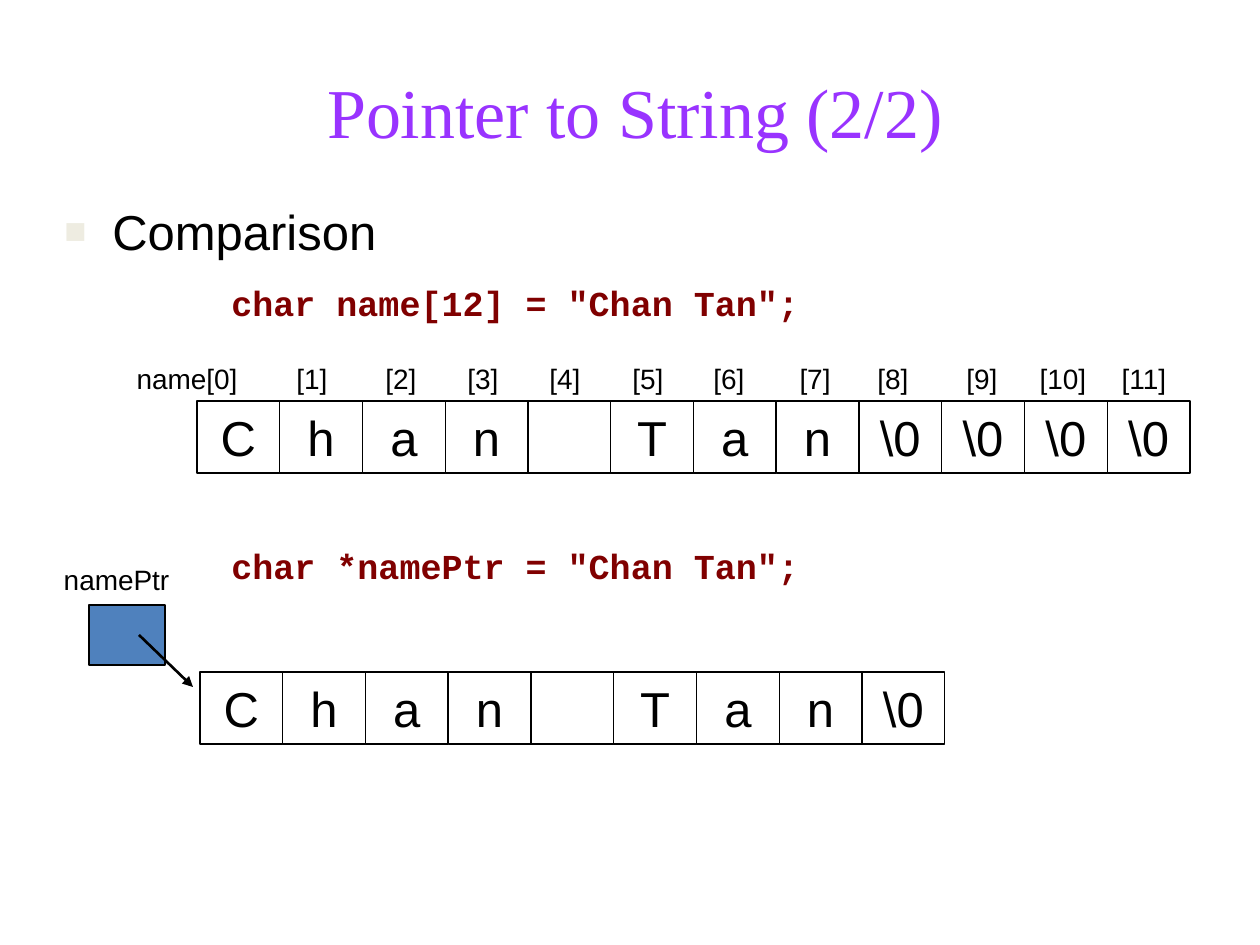
import pptx
import pptx.util
import pptx.dml.color
import pptx.enum.shapes
import pptx.enum.text
import pptx.oxml
import pptx.oxml.ns
from dataclasses import dataclass

TITLE = "Pointer to String (2/2)"
TOPIC = "Comparison"
# statement, top of the statement
CODES = [('char name[12] = "Chan Tan";', 275), ('char *namePtr = "Chan Tan";', 538)]
# characters, left and top of the row
ROWS = [
    (["C", "h", "a", "n", "", "T", "a", "n", "\\0", "\\0", "\\0", "\\0"], 197, 401),
    (["C", "h", "a", "n", "", "T", "a", "n", "\\0"], 200, 672),
]
# centre of each index label
MARKS = [187, 312, 401, 483, 565, 648, 729, 815, 893, 982, 1063, 1144]
SPAN, SLOTS, HIGH = 993, 12, 72  # full array width, its cells, cell height


@dataclass(frozen=True)
class Theme:
    title: str = "9933FF"
    code: str = "800000"
    ink: str = "000000"
    paper: str = "FFFFFF"
    box: str = "4F81BD"
    bullet: str = "EEECE1"
    serif: str = "Times New Roman"
    sans: str = "Arial"
    mono: str = "Courier New"
    head: int = 40
    large: int = 28
    mid: int = 20
    small: int = 16


T = Theme()
ALIGN = pptx.enum.text.PP_ALIGN
ANCHOR = pptx.enum.text.MSO_ANCHOR
RECT = pptx.enum.shapes.MSO_SHAPE.RECTANGLE


def px(n):
    return pptx.util.Emu(round(n * 914400 / 126))


def rgb(code):
    return pptx.dml.color.RGBColor.from_string(code)


def add_xml(parent, tag, attrs="", inner=""):
    ns = pptx.oxml.ns.nsdecls("a")
    parent.append(pptx.oxml.parse_xml(f"<a:{tag} {ns} {attrs}>{inner}</a:{tag}>"))


def write(shape, text, size, face=T.sans, color=T.ink, bold=False,
          align=ALIGN.CENTER, anchor=ANCHOR.TOP, wrap=True):
    frame = shape.text_frame
    frame.word_wrap = wrap
    frame.vertical_anchor = anchor
    para = frame.paragraphs[0]
    para.text = text
    para.alignment = align
    font = para.font
    font.name, font.size, font.bold = face, pptx.util.Pt(size), bold
    font.color.rgb = rgb(color)


def add_text(slide, x, y, w, h):
    return slide.shapes.add_textbox(px(x), px(y), px(w), px(h))


def add_rect(slide, x, y, w, h, fill=None, width=None):
    rect = slide.shapes.add_shape(RECT, px(x), px(y), px(w), px(h))
    rect.shadow.inherit = False
    if fill:
        rect.fill.solid()
        rect.fill.fore_color.rgb = rgb(fill)
    else:
        rect.fill.background()
    if width:
        rect.line.color.rgb = rgb(T.ink)
        rect.line.width = pptx.util.Pt(width)
    else:
        rect.line.fill.background()
    return rect


def add_arrow(slide, x1, y1, x2, y2):
    kind = pptx.enum.shapes.MSO_CONNECTOR.STRAIGHT
    arrow = slide.shapes.add_connector(kind, px(x1), px(y1), px(x2), px(y2))
    arrow.line.color.rgb = rgb(T.ink)
    arrow.line.width = pptx.util.Pt(1.5)
    add_xml(arrow.line._get_or_add_ln(), "tailEnd", 'type="triangle"')
    add_xml(arrow._element.spPr, "effectLst")


def add_topic(slide):
    box = add_text(slide, 52, 195, 1137, 71)
    props = box.text_frame.paragraphs[0]._p.get_or_add_pPr()
    props.set("marL", str(px(48)))
    props.set("indent", str(-px(48)))
    add_xml(props, "buClr", inner=f'<a:srgbClr val="{T.bullet}"/>')
    add_xml(props, "buSzPct", 'val="75000"')
    add_xml(props, "buFont", f'typeface="{T.sans}"')
    add_xml(props, "buChar", 'char="■"')
    write(box, TOPIC, T.large, align=ALIGN.LEFT)


def main():
    deck = pptx.Presentation()
    deck.slide_width, deck.slide_height = px(1260), px(945)
    slide = deck.slides.add_slide(deck.slide_layouts[5])

    title = slide.shapes.title
    title.left, title.top, title.width, title.height = map(px, (73, 57, 1124, 107))
    write(title, TITLE, T.head, T.serif, T.title, anchor=ANCHOR.MIDDLE)

    for text, top in CODES:
        write(add_rect(slide, 219, top, 670, 55, T.paper), text, T.mid,
              T.mono, T.code, True, ALIGN.LEFT)
    add_topic(slide)

    write(add_text(slide, 44, 556, 145, 47), "namePtr", T.small)
    add_rect(slide, 89, 605, 76, 60, T.box, 1)
    add_arrow(slide, 139, 635, 193, 687)

    pitch = SPAN / SLOTS
    for chars, left, top in ROWS:
        for i, char in enumerate(chars):
            cell = add_rect(slide, left + i * pitch, top, pitch, HIGH, width=0.75)
            if char:
                write(cell, char, T.large)

    for i, mid in enumerate(MARKS):
        text = f"[{i}]" if i else "name[0]"
        wide = 130 if i == 0 else 57 if i < 10 else 78
        write(add_text(slide, mid - wide / 2, 355, wide, 47), text, T.small, wrap=False)

    deck.save("out.pptx")


if __name__ == "__main__":
    main()
